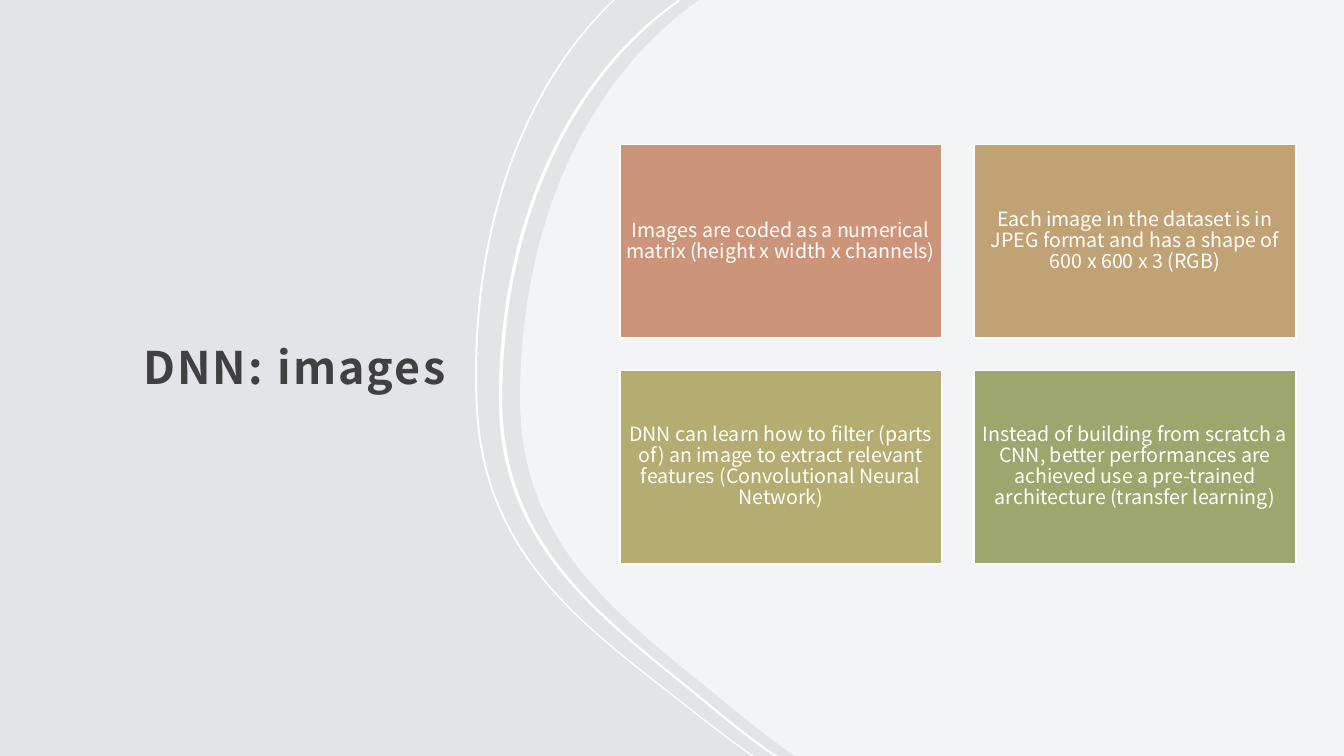
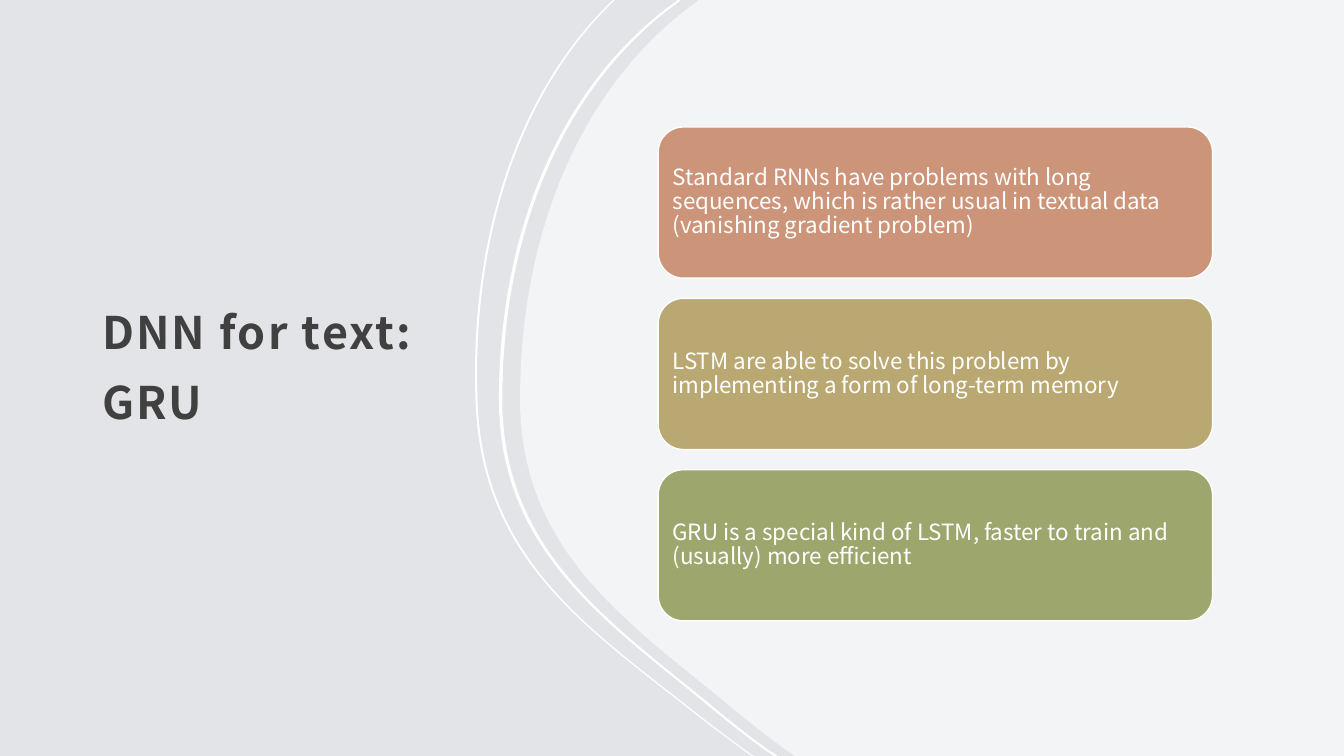
from pptx import Presentation
from lxml.etree import SubElement
from pptx.dml.color import RGBColor
from pptx.enum.shapes import MSO_SHAPE
from pptx.enum.text import MSO_ANCHOR, PP_ALIGN
from pptx.oxml.ns import qn
from pptx.util import Inches, Pt

COLUMNS, ROWS = 40, 22.5
FONT = "Noto Sans CJK JP"
BACKGROUND, WHITE, TITLE_COLOR = "E2E4E8", "FFFFFF", "404040"
CLAY, TAN, SAND, OLIVE, MOSS = "CC9479", "C0A274", "BAA872", "B4AC70", "9DA66D"

OUTER_ARC = [(18.24, 0), (18.15, 0.09), (15.36, 2.82), (13.95, 7.2),
             (14.16, 12.06), (14.37, 16.65), (17.46, 18.69), (20.61, 21.18),
             (21.18, 21.63), (21.75, 22.05), (22.32, 22.47), (22.38, 22.5)]
INNER_ARC = [(20.16, 0), (20.1, 0.06), (16.71, 2.49), (14.85, 6.87),
             (14.85, 11.88), (14.85, 16.29), (17.88, 18.39), (20.97, 20.91),
             (21.54, 21.39), (22.11, 21.84), (22.68, 22.26), (23.04, 22.5)]
OUTER_WIDTH, INNER_WIDTH, PANEL_SHIFT = 0.06, 0.1, 0.63


def cells(count):
    """Turn a count of grid cells, each a third of an inch, into a length."""
    return Inches(count / 3)


def color(value):
    """Turn a hex string into a colour."""
    return RGBColor.from_string(value)


def paint(shape, hue):
    """Give a shape a plain fill, with no line and no shadow."""
    shape.shadow.inherit = False
    shape.fill.solid()
    shape.fill.fore_color.rgb = color(hue)
    shape.line.fill.background()


def shifted(arc, distance):
    """Return an arc moved to the right."""
    return [(x + distance, y) for x, y in arc]


def arc_steps(arc):
    """Split an arc into a line, its cubic curves and a closing line."""
    curves = [arc[index:index + 3] for index in range(2, len(arc) - 1, 3)]
    return [arc[1:2], *curves, arc[-1:]]


def add_outline(page, start, steps, opacity=100):
    """Draw a closed white outline of lines (one point) and curves (three)."""
    builder = page.shapes.build_freeform(cells(start[0]), cells(start[1]))
    builder.add_line_segments([(cells(x), cells(y)) for x, y in (step[-1] for step in steps)])
    shape = builder.convert_to_shape()
    paint(shape, WHITE)
    for segment, step in zip(list(shape._element.iter(qn("a:lnTo"))), steps):
        if len(step) == 3:
            segment.tag = qn("a:cubicBezTo")
        for position, (x, y) in enumerate(step[:-1]):
            handle = segment.makeelement(qn("a:pt"), {"x": str(cells(x) - shape.left),
                                                      "y": str(cells(y) - shape.top)})
            segment.insert(position, handle)
    if opacity < 100:
        tint = next(shape._element.spPr.iter(qn("a:srgbClr")))
        SubElement(tint, qn("a:alpha")).set("val", str(opacity * 1000))


def add_panel(page):
    """Draw the see-through panel that fills the right side."""
    edge = shifted(INNER_ARC, PANEL_SHIFT)
    steps = [edge[:1], *arc_steps(edge), [(COLUMNS, ROWS)]]
    add_outline(page, (COLUMNS, 0), steps, 60)


def add_band(page, arc, thickness):
    """Draw a thin curved band along an arc."""
    back = shifted(arc, thickness)[::-1]
    steps = [arc[:1], *arc_steps(arc), back[:1], *arc_steps(back)[:-1]]
    add_outline(page, back[-1], steps)


def set_margins(frame, margin):
    """Wrap the text, centre it vertically and give it equal margins."""
    frame.word_wrap = True
    frame.vertical_anchor = MSO_ANCHOR.MIDDLE
    frame.margin_left = frame.margin_right = Inches(margin)
    frame.margin_top = frame.margin_bottom = Inches(margin)


def write(frame, text, size, hue, spacing, align=PP_ALIGN.LEFT):
    """Fill a text frame with one styled paragraph and return it."""
    para = frame.paragraphs[0]
    para.text = text
    para.alignment = align
    para.line_spacing = spacing
    para.font.name = FONT
    para.font.size = Pt(size)
    para.font.color.rgb = color(hue)
    return para


def add_title(page, text, left, width):
    """Add the bold, widely spaced title on the left side."""
    box = page.shapes.add_textbox(cells(left), cells(3.63), cells(width), cells(14.04))
    set_margins(box.text_frame, 0.12)
    box.text_frame.margin_bottom = Inches(0.1)
    para = write(box.text_frame, text, 32, TITLE_COLOR, 1.3)
    para.font.bold = True
    para.runs[0]._r.get_or_add_rPr().set("spc", "150")


def add_page(deck, title, left, width):
    """Add a slide with the backdrop, title, panel and bands."""
    page = deck.slides.add_slide(deck.slide_layouts[6])
    page.background.fill.solid()
    page.background.fill.fore_color.rgb = color(BACKGROUND)
    backdrop = page.shapes.add_shape(MSO_SHAPE.RECTANGLE, 0, 0, cells(COLUMNS), cells(ROWS))
    paint(backdrop, BACKGROUND)
    add_title(page, title, left, width)
    add_panel(page)
    add_band(page, OUTER_ARC, OUTER_WIDTH)
    add_band(page, INNER_ARC, INNER_WIDTH)
    return page


def add_cards(page, cards, columns, origin, extent, gap, kind, size, margin, align):
    """Lay out coloured text cards in rows of equal columns."""
    (left, top), (width, height) = origin, extent
    for index, (text, hue) in enumerate(cards):
        row, column = divmod(index, columns)
        card = page.shapes.add_shape(kind, cells(left + column * (width + gap)),
                                     cells(top + row * (height + gap)),
                                     cells(width), cells(height))
        paint(card, hue)
        card.line.color.rgb = color(WHITE)
        card.line.width = Pt(1)
        set_margins(card.text_frame, margin)
        para = write(card.text_frame, text, size, WHITE, 0.9, align)
        para.space_after = Pt(round(0.35 * size))


def main():
    """Build both slides and save the deck."""
    deck = Presentation()
    deck.slide_width, deck.slide_height = cells(COLUMNS), cells(ROWS)

    page = add_page(deck, "DNN: images", 3.9, 9.9)
    add_cards(page, [
        ("Images are coded as a numerical matrix (height x width x channels)", CLAY),
        ("Each image in the dataset is in JPEG format and has a shape of 600 x 600 x 3 (RGB)", TAN),
        ("DNN can learn how to filter (parts of) an image to extract relevant features "
         "(Convolutional Neural Network)", OLIVE),
        ("Instead of building from scratch a CNN, better performances are achieved use a "
         "pre-trained architecture (transfer learning)", MOSS),
    ], columns=2, origin=(18.45, 4.31), extent=(9.58, 5.75), gap=0.96,
        kind=MSO_SHAPE.RECTANGLE, size=14, margin=0.06, align=PP_ALIGN.CENTER)

    page = add_page(deck, "DNN for text: GRU", 2.68, 11.1)
    add_cards(page, [
        ("Standard RNNs have problems with long sequences, which is rather usual in textual data "
         "(vanishing gradient problem)", CLAY),
        ("LSTM are able to solve this problem by implementing a form of long-term memory", SAND),
        ("GRU is a special kind of LSTM, faster to train and (usually) more efficient", MOSS),
    ], columns=1, origin=(19.59, 3.78), extent=(16.5, 4.5), gap=0.6,
        kind=MSO_SHAPE.ROUNDED_RECTANGLE, size=16, margin=0.07, align=PP_ALIGN.LEFT)

    deck.save("out.pptx")


if __name__ == "__main__":
    main()
